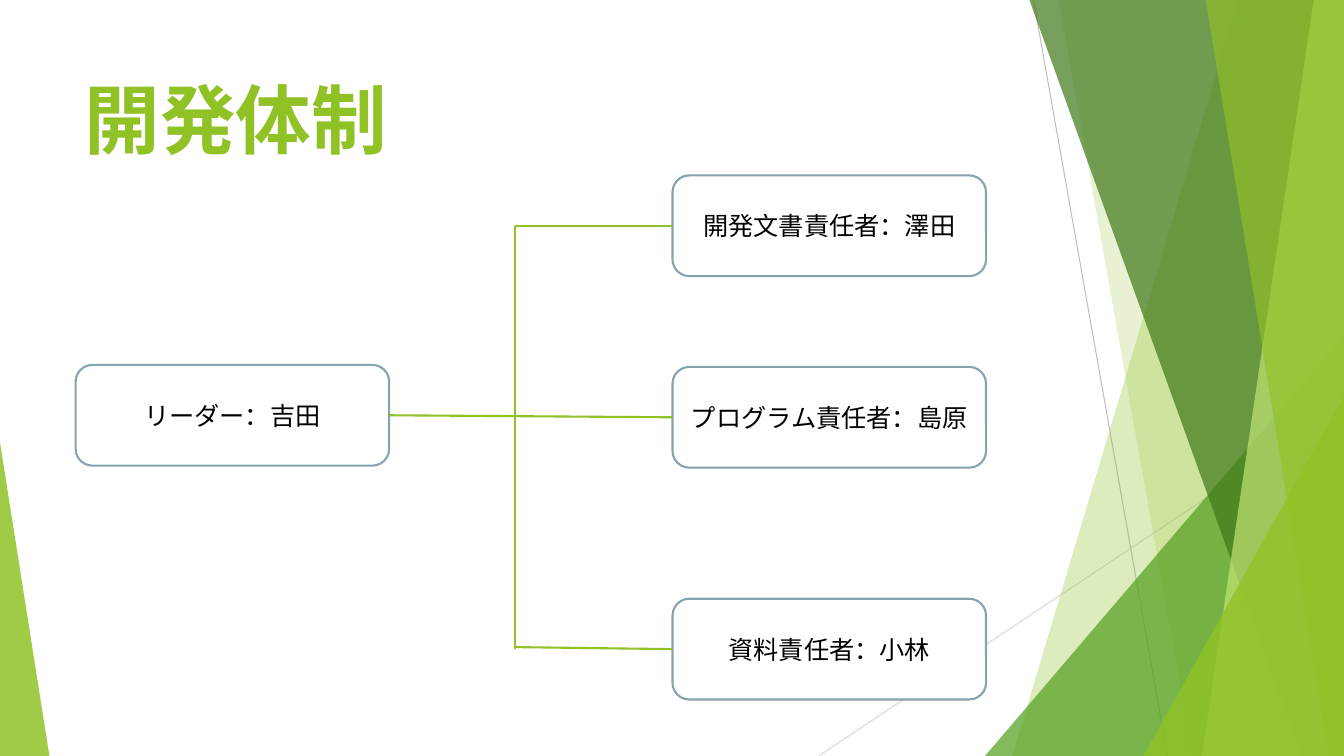
from dataclasses import dataclass

from lxml import etree
from pptx import Presentation
from pptx import util as u
from pptx.dml.color import RGBColor
from pptx.enum import shapes, text
from pptx.oxml.ns import qn


@dataclass(frozen=True)
class Theme:
    font: str = "Karla"
    title_size: int = 54
    box_size: int = 18
    lime: str = "90C226"
    green: str = "54A021"
    forest: str = "3F7819"
    pale: str = "C0E474"
    outline: str = "87A3B0"
    grey: str = "BFBFBF"
    light_grey: str = "D9D9D9"
    white: str = "FFFFFF"
    black: str = "000000"


theme = Theme()
deck = Presentation()
deck.slide_width, deck.slide_height = u.Inches(13.33), u.Inches(7.5)
page = deck.slides.add_slide(deck.slide_layouts[5])


def style_text(frame, size, color, align, anchor):
    frame.word_wrap = True
    frame.vertical_anchor = anchor
    para = frame.paragraphs[0]
    para.alignment = align
    span = para.runs[0]
    span.font.name = theme.font
    span.font.size = u.Pt(size)
    span.font.color.rgb = RGBColor.from_string(color)
    etree.SubElement(span.font._element, qn("a:ea"), typeface=theme.font)
    return span


def add_line(start, end, color, width):
    points = [u.Inches(value) for value in (*start, *end)]
    line = page.shapes.add_connector(shapes.MSO_CONNECTOR.STRAIGHT, *points)
    line.line.color.rgb = RGBColor.from_string(color)
    line.line.width = u.Pt(width)
    etree.SubElement(line._element.spPr, qn("a:effectLst"))


add_line((10.25, 0), (11.58, 7.5), theme.grey, 0.75)
add_line((13.33, 4.03), (8.12, 7.5), theme.light_grey, 0.75)

right, bottom = 13.33, 7.5
bands = [
    ("band", (12.28, 10.04), theme.lime, 30),
    ("band", (10.5, 11.83), theme.lime, 20),
    ("triangle", (9.77, 3.33, 3.56, 4.17, 1), theme.green, 72),
    ("band", (10.21, 12.91), theme.forest, 70),
    ("band", (13.03, 11.92), theme.pale, 70),
    ("band", (11.96, 13.18), theme.lime, 65),
    ("triangle", (11.34, 3.93, 1.99, 3.57, 1), theme.lime, 80),
    ("triangle", (0, 4.39, 0.49, 3.11, 0), theme.lime, 85),
]
for kind, geometry, color, opacity in bands:
    if kind == "band":
        top_x, bottom_x = geometry
        outline = page.shapes.build_freeform(u.Inches(top_x), 0)
        corners = [(right, 0), (right, bottom), (bottom_x, bottom)]
        outline.add_line_segments([(u.Inches(x), u.Inches(y)) for x, y in corners])
        facet = outline.convert_to_shape()
    else:
        *place, apex = geometry
        facet = page.shapes.add_shape(
            shapes.MSO_SHAPE.ISOSCELES_TRIANGLE, *map(u.Inches, place))
        facet.adjustments[0] = apex
    facet.shadow.inherit = False
    facet.line.fill.background()
    facet.fill.solid()
    facet.fill.fore_color.rgb = RGBColor.from_string(color)
    tint = facet._element.spPr.find(f"{qn('a:solidFill')}/{qn('a:srgbClr')}")
    etree.SubElement(tint, qn("a:alpha"), val=str(opacity * 1000))

title = page.shapes.title
title.left, title.top = u.Inches(0.74), u.Inches(0.67)
title.width, title.height = u.Inches(9.4), u.Inches(1.44)
title.text_frame.text = "開発体制"
span = style_text(title.text_frame, theme.title_size, theme.lime,
                  text.PP_ALIGN.LEFT, text.MSO_ANCHOR.TOP)
span.font.bold = True

box_width, box_height = 3.11, 1
leader_left, leader_top = 0.75, 3.62
member_left = 6.67
members = [
    ("開発文書責任者：澤田", 1.74),
    ("プログラム責任者：島原", 3.64),
    ("資料責任者：小林", 5.94),
]
boxes = [("リーダー：吉田", leader_left, leader_top)]
boxes += [(label, member_left, top) for label, top in members]
for label, left, top in boxes:
    box = page.shapes.add_shape(
        shapes.MSO_SHAPE.ROUNDED_RECTANGLE,
        *map(u.Inches, (left, top, box_width, box_height)))
    box.shadow.inherit = False
    box.fill.solid()
    box.fill.fore_color.rgb = RGBColor.from_string(theme.white)
    box.line.color.rgb = RGBColor.from_string(theme.outline)
    box.line.width = u.Pt(1.5)
    box.text_frame.text = label
    style_text(box.text_frame, theme.box_size, theme.black,
               text.PP_ALIGN.CENTER, text.MSO_ANCHOR.MIDDLE)

trunk_x = 5.11
first_y, middle_y, last_y = [top + box_height / 2 for _, top in members]
branches = [
    ((leader_left + box_width, leader_top + box_height / 2), (member_left, middle_y)),
    ((trunk_x, last_y), (trunk_x, first_y)),
    ((trunk_x, first_y), (member_left, first_y)),
    ((trunk_x, last_y - 0.02), (member_left, last_y)),
]
for start, end in branches:
    add_line(start, end, theme.lime, 1.5)

deck.save("out.pptx")
